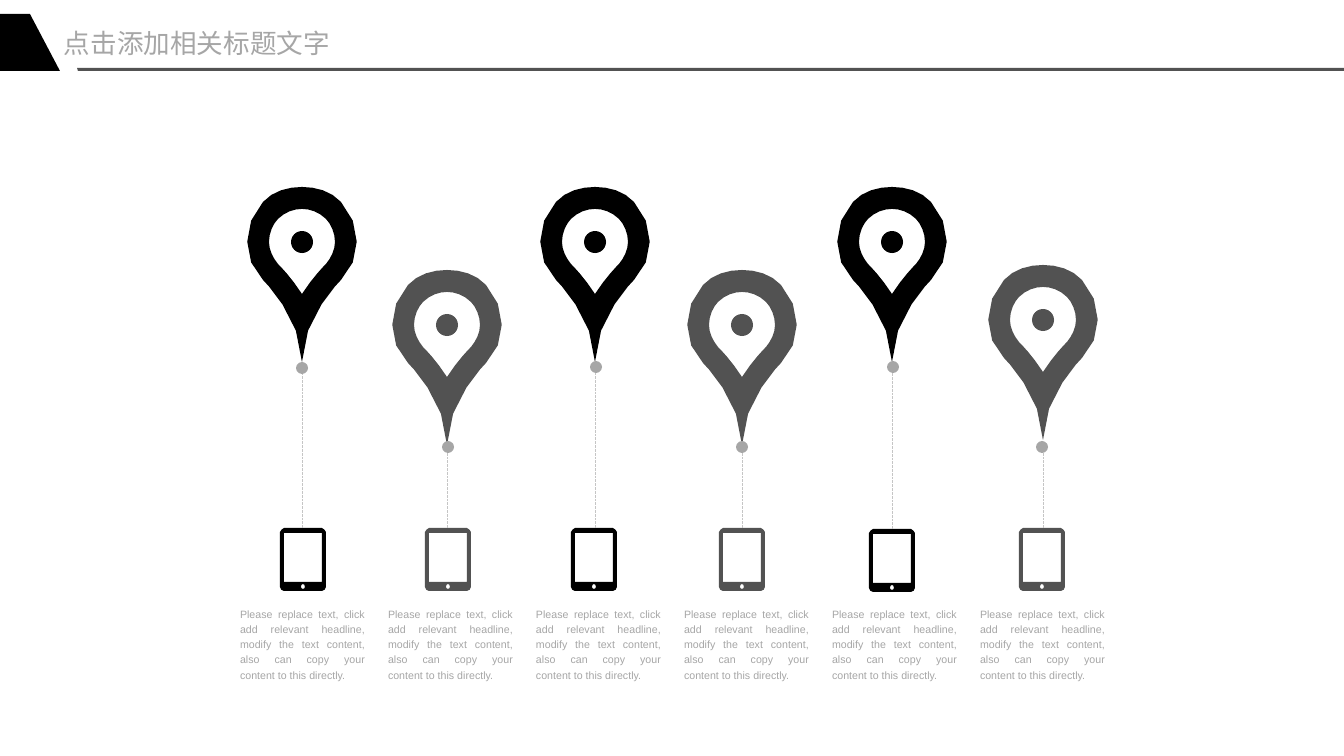
"""Builds a slide of six map pins, each joined by a dotted line to a tablet and its caption."""
from lxml import etree
from pptx import Presentation
from pptx import util as u
from pptx.dml.color import RGBColor
from pptx.enum import dml, shapes, text

PX = 9565
BLACK, DARK, GREY, PALE = "000000", "525252", "A6A6A6", "C5C5C5"
HEADLINE = "点击添加相关标题文字"
CAPTION = ("Please replace text, click add relevant headline, modify the text content, "
           "also can copy your content to this directly.")

# pin centre, pin top, joint centre, joint top, tablet centre, tablet top, colour
COLUMNS = [
    (302, 187, 302, 362, 303, 528, BLACK),
    (447, 270, 448, 441, 448, 528, DARK),
    (595, 187, 596, 361, 594, 528, BLACK),
    (742, 270, 742, 441, 742, 528, DARK),
    (892, 187, 893, 361, 892, 529, BLACK),
    (1043, 265, 1042, 441, 1042, 528, DARK),
]
CAPTION_LEFT, CAPTION_TOP, CAPTION_STEP = 240, 605, 148
CAPTION_WIDTH, CAPTION_HEIGHT = 125, 76
EYE, EYE_DROP, JOINT = 22, 44, 12

# right halves about a centre line: pairs are corners, sixes are curves
PIN = [
    [(0, 0), (14, 0, 29, 4, 39, 15), (60, 37, 60, 73, 39, 93), (39, 93, 0, 131, 0, 175)],
    [(0, 22), (8, 22, 17, 25, 24, 32), (29, 37, 33, 46, 33, 55),
     (33, 63, 29, 71, 24, 77), (22, 79, 11, 90, 0, 107)],
]
TABLET = [
    [(0, 0), (19, 0), (20, 0, 23, 3, 23, 4), (23, 59), (23, 61, 21, 63, 19, 63), (0, 63)],
    [(0, 5), (19, 5), (19, 54), (0, 54)],
    [(0, 56), (1, 56, 2, 57, 2, 59), (2, 60, 1, 61, 0, 61)],
]
PIN_STEPS, TABLET_STEPS = 4, 2
CORNER = [(0, 14), (30, 14), (60, 71), (0, 71)]
RULE = [(77, 68), (1344, 68), (1344, 71), (78, 71)]


def px(length):
    return round(length * PX)


def rgb(colour):
    return RGBColor.from_string(colour)


def paint(shape, colour):
    shape.shadow.inherit = False
    shape.fill.solid()
    shape.fill.fore_color.rgb = rgb(colour)
    shape.line.fill.background()


def flatten(half, steps):
    points = []
    for part in half:
        if len(part) == 2:
            points.append(part)
            continue
        knots = [points[-1], part[:2], part[2:4], part[4:]]
        for step in range(1, steps + 1):
            t = step / steps
            weights = ((1 - t) ** 3, 3 * t * (1 - t) ** 2, 3 * t * t * (1 - t), t ** 3)
            points.append(tuple(sum(w * k[axis] for w, k in zip(weights, knots))
                                for axis in (0, 1)))
    return points


def mirrored(half, steps):
    right = flatten(half, steps)
    inner = [(-x, y) for x, y in reversed(right) if x]
    return right + inner


def outline(slide, contours, colour, left=0, top=0):
    placed = [[(px(left + x), px(top + y)) for x, y in contour] for contour in contours]
    builder = slide.shapes.build_freeform(*placed[0][0])
    for index, (start, *others) in enumerate(placed):
        if index:
            builder.move_to(*start)
        builder.add_line_segments(others, close=True)
    paint(builder.convert_to_shape(), colour)


def disc(slide, centre, top, size, colour):
    paint(slide.shapes.add_shape(shapes.MSO_SHAPE.OVAL, px(centre - size / 2), px(top),
                                 px(size), px(size)), colour)


def stem(slide, centre, bottom, top):
    line = slide.shapes.add_connector(shapes.MSO_CONNECTOR.STRAIGHT,
                                      px(centre), px(bottom), px(centre), px(top))
    line.line.color.rgb = rgb(PALE)
    line.line.width = u.Pt(0.5)
    line.line.dash_style = dml.MSO_LINE.ROUND_DOT
    effects = "{http://schemas.openxmlformats.org/drawingml/2006/main}effectLst"
    etree.SubElement(line._element.spPr, effects)


def write(shape, words, size, align, spacing, anchor):
    frame = shape.text_frame
    frame.text = words
    frame.word_wrap = True
    frame.auto_size = text.MSO_AUTO_SIZE.NONE
    frame.vertical_anchor = anchor
    frame.margin_left = frame.margin_right = frame.margin_top = frame.margin_bottom = 0
    paragraph = frame.paragraphs[0]
    paragraph.alignment = align
    paragraph.line_spacing = spacing
    paragraph.space_before = u.Pt(0)
    font = paragraph.runs[0].font
    font.name, font.size = "Arial", u.Pt(size)
    font.color.rgb = rgb(GREY)


def main():
    deck = Presentation()
    deck.slide_width, deck.slide_height = px(1344), px(756)
    slide = deck.slides.add_slide(deck.slide_layouts[5])

    title = slide.shapes.title
    title.left, title.top, title.width, title.height = px(64), px(27), px(320), px(32)
    write(title, HEADLINE, 20, text.PP_ALIGN.LEFT, 1.0, text.MSO_ANCHOR.MIDDLE)
    outline(slide, [RULE], DARK)
    outline(slide, [CORNER], BLACK)

    pin = [mirrored(half, PIN_STEPS) for half in PIN]
    tablet = [mirrored(half, TABLET_STEPS) for half in TABLET]
    for index, column in enumerate(COLUMNS):
        pin_x, pin_top, joint_x, joint_top, tablet_x, tablet_top, colour = column
        outline(slide, pin, colour, pin_x, pin_top)
        disc(slide, pin_x, pin_top + EYE_DROP, EYE, colour)
        outline(slide, tablet, colour, tablet_x, tablet_top)
        disc(slide, joint_x, joint_top, JOINT, GREY)
        stem(slide, pin_x, tablet_top, joint_top + JOINT)
        caption = slide.shapes.add_textbox(
            px(CAPTION_LEFT + index * CAPTION_STEP), px(CAPTION_TOP),
            px(CAPTION_WIDTH), px(CAPTION_HEIGHT))
        write(caption, CAPTION, 8, text.PP_ALIGN.JUSTIFY, 1.2, text.MSO_ANCHOR.TOP)

    deck.save("out.pptx")


if __name__ == "__main__":
    main()
